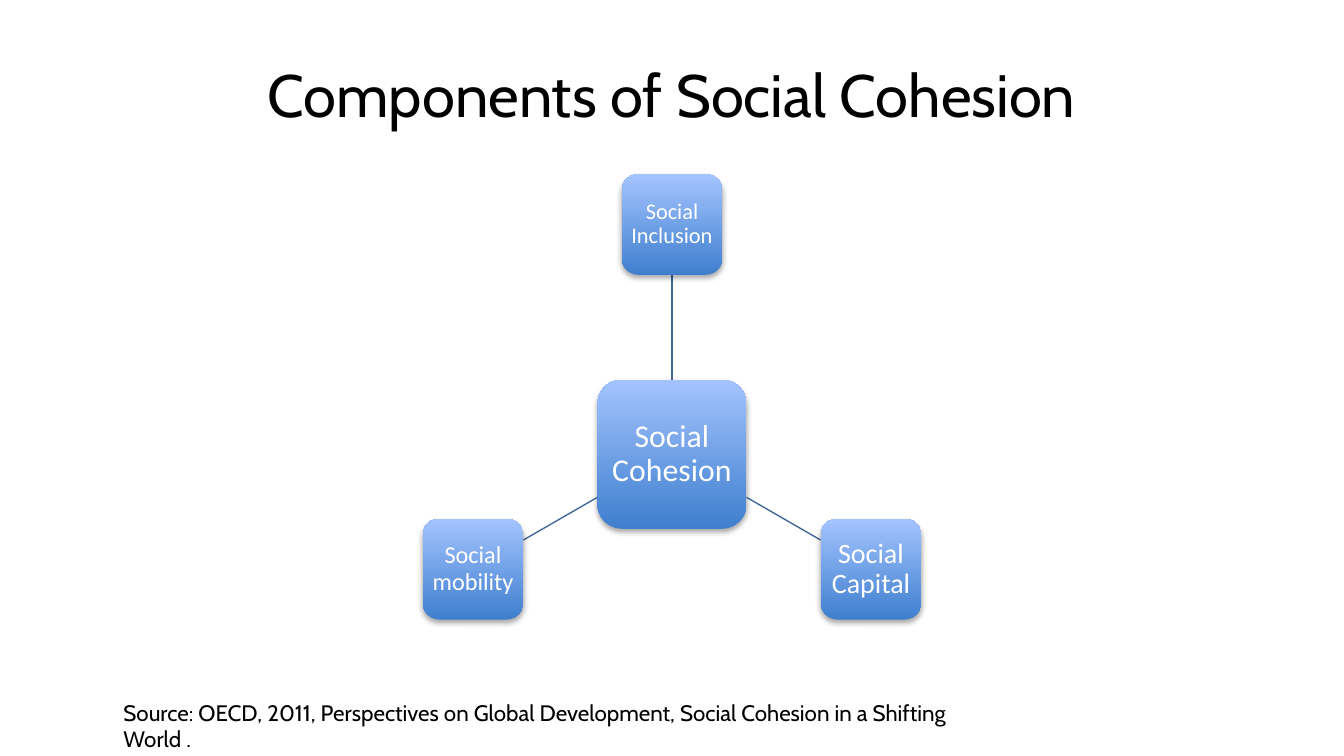
import math
from lxml import etree
from pptx import Presentation
from pptx.dml.color import RGBColor
from pptx.enum import shapes, text
from pptx.oxml import parse_xml
from pptx.oxml.ns import nsdecls, qn
from pptx.util import Inches, Pt

BLACK = RGBColor(0, 0, 0)
WHITE = RGBColor(255, 255, 255)
BLUE_DARK = RGBColor(0x3F, 0x7F, 0xCE)
BLUE_LIGHT = RGBColor(0xA4, 0xC4, 0xFF)
LINE_BLUE = RGBColor(0x3F, 0x67, 0x97)

HUB_X, HUB_Y, HUB_SIZE = 5, 3.38, 1.11
NODE_SIZE, RADIUS = 0.75, 1.71
NODES = [
    ("Social Inclusion", 12, 0.03, -90),
    ("Social Capital", 15, 0.03, 30),
    ("Social mobility", 13, 0.03, 150),
]


def add_run(p, words, size, font, color):
    r = p.add_run()
    r.text = words
    r.font.size = Pt(size)
    r.font.name = font
    r.font.color.rgb = color


def add_text(s, left, top, width, height, words, size, align, anchor):
    tf = s.shapes.add_textbox(Inches(left), Inches(top), Inches(width), Inches(height)).text_frame
    tf.word_wrap = True
    tf.vertical_anchor = anchor
    p = tf.paragraphs[0]
    p.alignment = align
    add_run(p, words, size, "Cabin", BLACK)


def add_shadow(sp):
    sp.shadow.inherit = False
    effects = sp._element.spPr.find(qn("a:effectLst"))
    effects.append(parse_xml(
        f'<a:outerShdw {nsdecls("a")} blurRad="{Pt(3.1)}" dist="{Pt(1.8)}" dir="5400000" rotWithShape="0">'
        '<a:srgbClr val="000000"><a:alpha val="35000"/></a:srgbClr></a:outerShdw>'))


def add_node(s, x, y, side, words, size, inset):
    sp = s.shapes.add_shape(shapes.MSO_SHAPE.ROUNDED_RECTANGLE, Inches(x - side / 2),
                            Inches(y - side / 2), Inches(side), Inches(side))
    sp.fill.gradient()
    sp.fill.gradient_angle = 90
    for stop, color, position in zip(sp.fill.gradient_stops, (BLUE_DARK, BLUE_LIGHT), (0, 1)):
        stop.color.rgb = color
        stop.position = position
    sp.line.fill.background()
    add_shadow(sp)
    tf = sp.text_frame
    tf.word_wrap = True
    tf.vertical_anchor = text.MSO_ANCHOR.MIDDLE
    tf.margin_left = tf.margin_right = tf.margin_top = tf.margin_bottom = Inches(inset)
    p = tf.paragraphs[0]
    p.alignment = text.PP_ALIGN.CENTER
    p.line_spacing = 0.9
    add_run(p, words, size, "Calibri", WHITE)
    return sp


def add_spoke(s, x1, y1, x2, y2):
    line = s.shapes.add_connector(shapes.MSO_CONNECTOR.STRAIGHT, Inches(x1), Inches(y1),
                                  Inches(x2), Inches(y2))
    line.line.color.rgb = LINE_BLUE
    line.line.width = Pt(0.75)
    etree.SubElement(line._element.spPr, qn("a:effectLst"))
    return line


def add_diagram(s):
    hub = add_node(s, HUB_X, HUB_Y, HUB_SIZE, "Social Cohesion", 17, 0.05)
    for words, size, inset, degrees in NODES:
        dx, dy = math.cos(math.radians(degrees)), math.sin(math.radians(degrees))
        x, y = HUB_X + RADIUS * dx, HUB_Y + RADIUS * dy
        to_edge = 0.5 / max(abs(dx), abs(dy))
        start, end = HUB_SIZE * to_edge, RADIUS - NODE_SIZE * to_edge
        line = add_spoke(s, HUB_X + start * dx, HUB_Y + start * dy,
                         HUB_X + end * dx, HUB_Y + end * dy)
        node = add_node(s, x, y, NODE_SIZE, words, size, inset)
        if degrees == -90:
            line.begin_connect(hub, 0)
            line.end_connect(node, 2)


def main():
    prs = Presentation()
    prs.slide_width = Inches(10)
    prs.slide_height = Inches(10 * 9 / 16)
    s = prs.slides.add_slide(prs.slide_layouts[6])
    add_text(s, 0.5, 0.23, 9, 0.94, "Components of Social Cohesion", 32,
             text.PP_ALIGN.CENTER, text.MSO_ANCHOR.MIDDLE)
    add_diagram(s)
    add_text(s, 0.82, 5.15, 6.54, 0.3,
             "Source: OECD, 2011, Perspectives on Global Development, Social Cohesion in a Shifting World .",
             12, text.PP_ALIGN.LEFT, text.MSO_ANCHOR.TOP)
    prs.save("out.pptx")


if __name__ == "__main__":
    main()
